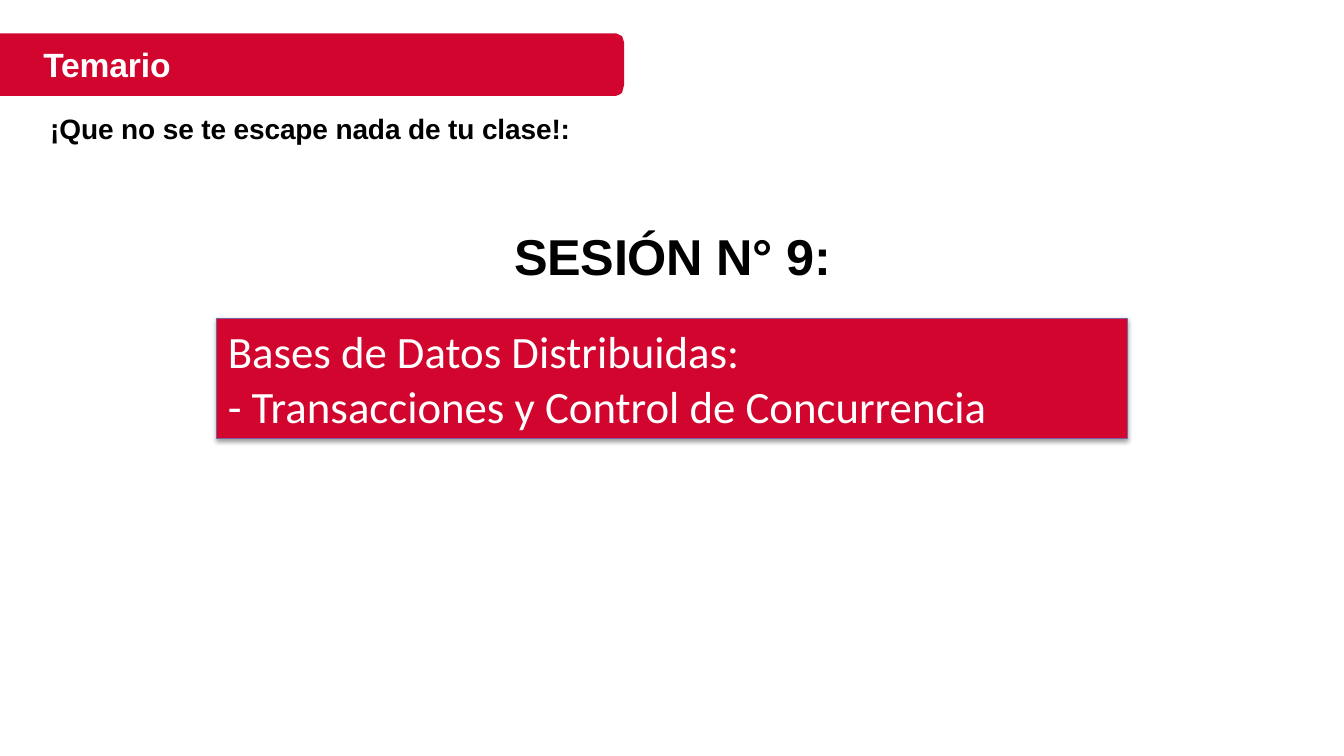
from lxml.etree import SubElement
from pptx import Presentation
from pptx.dml.color import RGBColor
from pptx.enum.shapes import MSO_SHAPE
from pptx.enum.text import MSO_ANCHOR, MSO_AUTO_SIZE, PP_ALIGN
from pptx.oxml.ns import qn
from pptx.util import Inches, Pt

COLORS = {"red": "D1052D", "purple": "7D60A0", "white": "FFFFFF", "black": "000000"}


def color(name):
    return RGBColor.from_string(COLORS[name])


def write(sp, lines, fmt, ink, margins, align=PP_ALIGN.LEFT, spacing=0):
    """Fill a shape with lines; margins in inches, spacing in hundredths of a point."""
    tf = sp.text_frame
    tf.word_wrap = True
    tf.auto_size = MSO_AUTO_SIZE.SHAPE_TO_FIT_TEXT
    tf.vertical_anchor = MSO_ANCHOR.TOP
    for side, value in zip(("left", "top", "right", "bottom"), margins):
        setattr(tf, f"margin_{side}", Inches(value))
    for i, line in enumerate(lines):
        p = tf.add_paragraph() if i else tf.paragraphs[0]
        p.alignment = align
        if i:
            p.space_before = Pt(1)
        r = p.add_run()
        r.text = line
        for key, value in fmt.items():
            setattr(r.font, key, value)
        r.font.color.rgb = color(ink)
        if spacing:
            r._r.get_or_add_rPr().set("spc", str(spacing))


prs = Presentation()
prs.slide_width, prs.slide_height = Inches(13.33), Inches(7.5)
s = prs.slides.add_slide(prs.slide_layouts[6])

# Topic box with a soft shadow below
topic = s.shapes.add_shape(MSO_SHAPE.RECTANGLE, Inches(2.15), Inches(3.16), Inches(9.03), Inches(1.19))
topic.fill.solid()
topic.fill.fore_color.rgb = color("red")
topic.line.color.rgb = color("purple")
topic.line.width = Pt(0.75)
topic.shadow.inherit = False
effects = topic._element.spPr.find(qn("a:effectLst"))
shadow = SubElement(effects, qn("a:outerShdw"), blurRad=str(Pt(3.1)), dist=str(Pt(1.6)),
                    dir="5400000", rotWithShape="0")
tint = SubElement(shadow, qn("a:srgbClr"), val=COLORS["black"])
SubElement(tint, qn("a:alpha"), val="38000")
write(topic, ["Bases de Datos Distribuidas:", "- Transacciones y Control de Concurrencia"],
      {"name": "Calibri", "size": Pt(32)}, "white", (0.11, 0.05, 0.1, 0.05))

# Title banner with rounded right corners
outline = [(0, 0.33), (6.11, 0.33), (6.13, 0.34), (6.17, 0.36), (6.19, 0.42), (6.19, 0.84),
           (6.18, 0.88), (6.17, 0.92), (6.14, 0.94), (6.11, 0.95), (0, 0.95)]
points = [(Inches(x), Inches(y)) for x, y in outline]
builder = s.shapes.build_freeform(*points[0])
builder.add_line_segments(points[1:], close=True)
banner = builder.convert_to_shape()
banner.fill.solid()
banner.fill.fore_color.rgb = color("red")
banner.line.fill.background()
banner.shadow.inherit = False

# Headings: text, box, size, colour, margins, alignment, letter spacing
inset = (0.1, 0.05, 0.1, 0.05)
headings = [
    ("SESIÓN N° 9:", (4.46, 2.18, 4.42, 0.71), 36, "black", inset, PP_ALIGN.CENTER, -20),
    ("Temario", (0.42, 0.42, 5.17, 0.42), 24, "white", (0.01, 0.02, 0, 0), PP_ALIGN.LEFT, -10),
    ("¡Que no se te escape nada de tu clase!:", (0.4, 1.06, 5.86, 0.44), 20, "black", inset,
     PP_ALIGN.LEFT, -10),
]
for text, box, size, ink, margins, align, spacing in headings:
    sp = s.shapes.add_textbox(*map(Inches, box))
    write(sp, [text], {"name": "Arial", "size": Pt(size), "bold": True}, ink, margins, align, spacing)

prs.save("out.pptx")
